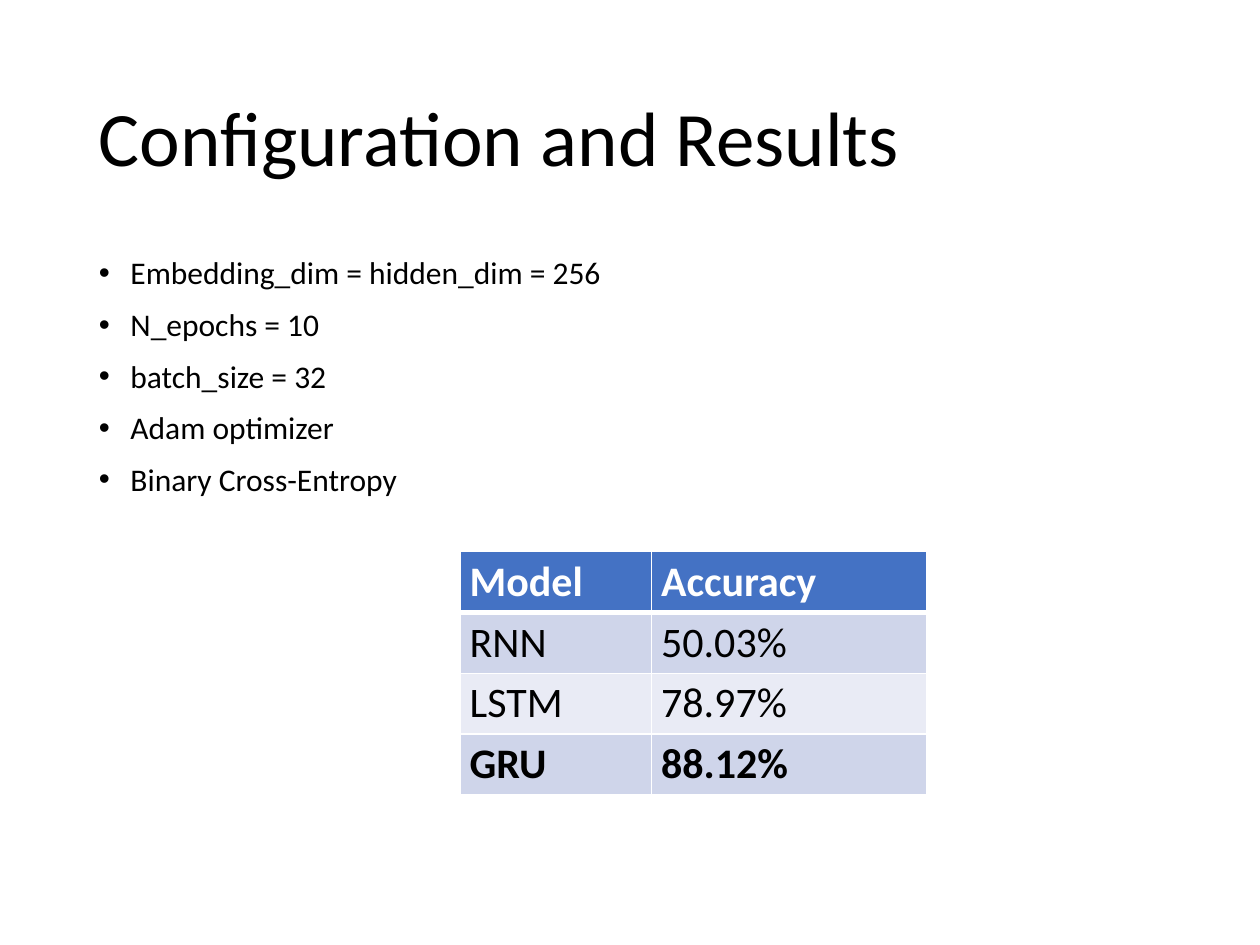
import pptx
import pptx.util
import pptx.dml.color
import pptx.enum.text
import pptx.oxml
import pptx.oxml.ns

Pt = pptx.util.Pt
COLORS = {"text": "000000", "white": "FFFFFF", "header": "4472C4",
          "band_dark": "CFD5EA", "band_light": "E9EBF5"}


def write_text(paragraph, text, size, color="text", bold=False, line_spacing=1.0,
               space_before=0, bullet=None, indent=18):
    paragraph.line_spacing = line_spacing
    paragraph.space_before = Pt(space_before)
    run = paragraph.add_run()
    run.text = text
    run.font.name = "Calibri"
    run.font.size = Pt(size)
    run.font.bold = bold
    run.font.color.rgb = pptx.dml.color.RGBColor.from_string(COLORS[color])
    if bullet:
        properties = paragraph._p.get_or_add_pPr()
        properties.set("marL", str(Pt(indent)))
        properties.set("indent", str(-Pt(indent)))
        namespace = pptx.oxml.ns.nsdecls("a")
        properties.append(pptx.oxml.parse_xml(f'<a:buFont {namespace} typeface="Arial"/>'))
        properties.append(pptx.oxml.parse_xml(f'<a:buChar {namespace} char="{bullet}"/>'))


def set_borders(cell, widths):
    properties = cell._tc.get_or_add_tcPr()
    for position, (side, width) in enumerate(widths.items()):
        properties.insert(position, pptx.oxml.parse_xml(
            f'<a:ln{side} {pptx.oxml.ns.nsdecls("a")} w="{Pt(width)}"><a:solidFill>'
            f'<a:srgbClr val="{COLORS["white"]}"/></a:solidFill></a:ln{side}>'))


presentation = pptx.Presentation()
presentation.slide_width = Pt(720)
presentation.slide_height = Pt(540)
slide = presentation.slides.add_slide(presentation.slide_layouts[6])

title = slide.shapes.add_textbox(Pt(49.5), Pt(28.75), Pt(621), Pt(104.4)).text_frame
title.word_wrap = True
title.vertical_anchor = pptx.enum.text.MSO_ANCHOR.MIDDLE
write_text(title.paragraphs[0], "Configuration and Results", size=44, line_spacing=0.9)

settings = ["Embedding_dim = hidden_dim = 256", "N_epochs = 10", "batch_size = 32",
            "Adam optimizer", "Binary Cross-Entropy"]
body = slide.shapes.add_textbox(Pt(49.5), Pt(143.75), Pt(621), Pt(342.6)).text_frame
body.word_wrap = True
for index, setting in enumerate(settings):
    paragraph = body.add_paragraph() if index else body.paragraphs[0]
    write_text(paragraph, setting, size=18, line_spacing=0.9, space_before=10, bullet="•")

results = [("Model", "Accuracy"), ("RNN", "50.03%"), ("LSTM", "78.97%"), ("GRU", "88.12%")]
column_widths = [109.4, 157]
row_height = 34.8
table = slide.shapes.add_table(len(results), len(column_widths), Pt(263), Pt(315.2),
                               Pt(sum(column_widths)), Pt(row_height * len(results))).table
for column, width in zip(table.columns, column_widths):
    column.width = Pt(width)

for row_index, values in enumerate(results):
    table.rows[row_index].height = Pt(row_height)
    is_header = row_index == 0
    fill = "header" if is_header else "band_dark" if row_index % 2 else "band_light"
    for column_index, value in enumerate(values):
        cell = table.cell(row_index, column_index)
        cell.margin_left = cell.margin_right = Pt(5.4)
        cell.margin_top = cell.margin_bottom = Pt(2.7)
        cell.fill.solid()
        cell.fill.fore_color.rgb = pptx.dml.color.RGBColor.from_string(COLORS[fill])
        set_borders(cell, {"L": 1, "R": 1, "T": 3 if row_index == 1 else 1,
                           "B": 3 if is_header else 1})
        write_text(cell.text_frame.paragraphs[0], value, size=24,
                   color="white" if is_header else "text",
                   bold=is_header or values[0] == "GRU")

presentation.save("out.pptx")
